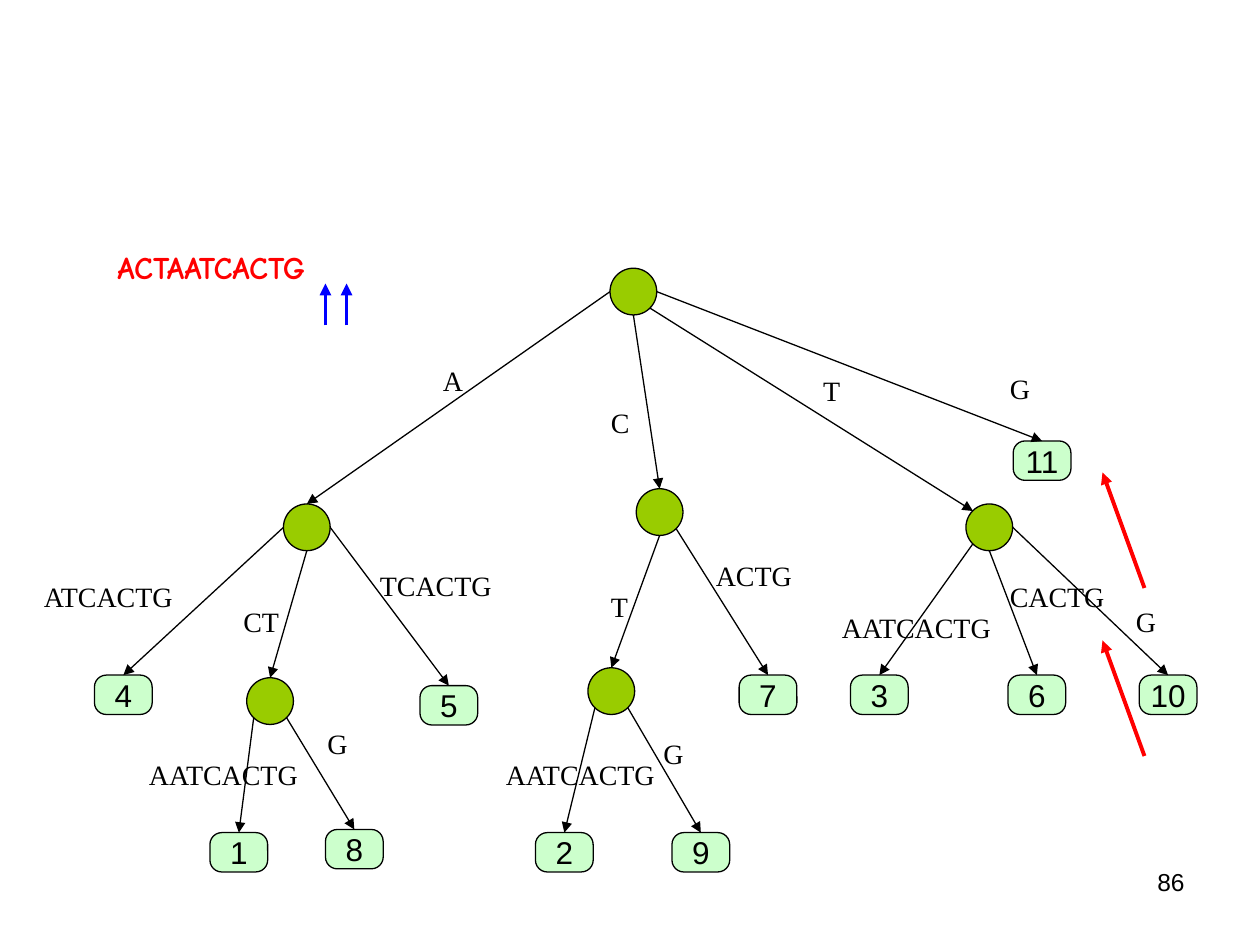
import pptx
import pptx.dml.color
import pptx.enum.shapes
import pptx.enum.text
import pptx.oxml.ns
import pptx.util
from lxml import etree

RGB = pptx.dml.color.RGBColor
BLACK = RGB(0x00, 0x00, 0x00)
RED = RGB(0xFF, 0x00, 0x00)
BLUE = RGB(0x00, 0x00, 0xFF)
OLIVE = RGB(0x99, 0xCC, 0x00)
MINT = RGB(0xCC, 0xFF, 0xCC)

COLUMNS, ROWS = 120, 90
NODE_SIZE = 4.45
LEAF_WIDTH, LEAF_HEIGHT = 5.5, 3.75
LABEL_HEIGHT = 4.4

SITES = {
    "top": (0.5, 0), "left": (0, 0.5), "bottom": (0.5, 1), "right": (1, 0.5),
    "top left": (0.15, 0.15), "bottom left": (0.15, 0.85), "bottom right": (0.85, 0.85),
}

NODES = {
    "root": (58.1, 25.55), "A": (27, 48), "C": (60.6, 46.55), "T": (92, 48),
    "ACT": (23.5, 64.55), "CT": (56, 63.6),
}

LEAVES = {
    "1": (20, 79.3), "2": (51, 79.3), "3": (81, 64.3), "4": (9, 64.3),
    "5": (40, 65.3), "6": (96, 64.3), "7": (70.4, 64.3), "8": (31, 79),
    "9": (64, 79.3), "10": (108.5, 64.3), "11": (96.5, 42),
}

EDGES = [
    ("root", "left", "A", "top", "A", 41, 34, 8),
    ("root", "bottom", "C", "top", "C", 57, 38, 7),
    ("root", "bottom right", "T", "top left", "T", 77.2, 35, 12.8),
    ("root", "right", "11", "top", "G", 95, 34.8, 8),
    ("A", "left", "4", "top", "ATCACTG", 3, 54.6, 16),
    ("A", "bottom", "ACT", "top", "CT", 22, 57, 12),
    ("A", "right", "5", "top", "TCACTG", 35, 53.6, 14),
    ("C", "bottom", "CT", "top", "T", 57, 55.6, 19),
    ("C", "bottom right", "7", "top", "ACTG", 67, 52.6, 11),
    ("T", "bottom left", "3", "top", "AATCACTG", 79, 57.6, 18.8),
    ("T", "bottom", "6", "top", "CACTG", 95, 54.6, 12.8),
    ("T", "right", "10", "top", "G", 107, 57, 8),
    ("ACT", "bottom left", "1", "top", "AATCACTG", 13, 71.6, 21),
    ("ACT", "bottom right", "8", "top", "G", 30, 68.6, 8),
    ("CT", "bottom left", "2", "top", "AATCACTG", 47, 71.6, 19),
    ("CT", "bottom right", "9", "top", "G", 62, 69.6, 8),
]


class TreeSlide:
    """Draws suffix tree elements on a slide grid with a shared style."""

    def __init__(self, prs):
        self.slide = prs.slides.add_slide(prs.slide_layouts[6])
        self.col = prs.slide_width / COLUMNS
        self.row = prs.slide_height / ROWS

    def box(self, x, y, w, h):
        return [round(v) for v in (x * self.col, y * self.row, w * self.col, h * self.row)]

    def format(self, p, size, font, color=BLACK, bold=False):
        for r in p.runs:
            r.font.size = pptx.util.Pt(size)
            r.font.name = font
            r.font.bold = bold
            r.font.color.rgb = color

    def shape(self, kind, fill, x, y, w, h):
        sp = self.slide.shapes.add_shape(kind, *self.box(x, y, w, h))
        sp.shadow.inherit = False
        sp.fill.solid()
        sp.fill.fore_color.rgb = fill
        sp.line.color.rgb = BLACK
        sp.line.width = pptx.util.Pt(0.75)
        return sp

    def node(self, x, y):
        return self.shape(pptx.enum.shapes.MSO_SHAPE.OVAL, OLIVE, x, y, NODE_SIZE, NODE_SIZE)

    def leaf(self, text, x, y):
        kind = pptx.enum.shapes.MSO_SHAPE.ROUNDED_RECTANGLE
        sp = self.shape(kind, MINT, x, y, LEAF_WIDTH, LEAF_HEIGHT)
        sp.adjustments[0] = 0.3
        tf = sp.text_frame
        tf.word_wrap = False
        tf.vertical_anchor = pptx.enum.text.MSO_ANCHOR.MIDDLE
        tf.text = text
        p = tf.paragraphs[0]
        p.alignment = pptx.enum.text.PP_ALIGN.CENTER
        self.format(p, 18, "Arial")
        return sp

    def text(self, text, x, y, w, h, size=16, font="Times New Roman", color=BLACK, bold=False):
        sp = self.slide.shapes.add_textbox(*self.box(x, y, w, h))
        tf = sp.text_frame
        tf.word_wrap = True
        tf.text = text
        p = tf.paragraphs[0]
        self.format(p, size, font, color, bold)
        return p

    def line(self, x1, y1, x2, y2, color=BLACK, width=0.75):
        kind = pptx.enum.shapes.MSO_CONNECTOR.STRAIGHT
        line = self.slide.shapes.add_connector(kind, round(x1), round(y1), round(x2), round(y2))
        line.line.color.rgb = color
        line.line.width = pptx.util.Pt(width)
        qn = pptx.oxml.ns.qn
        props = line._element.spPr
        etree.SubElement(props.find(qn("a:ln")), qn("a:tailEnd"), type="triangle")
        etree.SubElement(props, qn("a:effectLst"))
        return line

    def edge(self, parent, start, child, end):
        points = []
        for sp, site in ((parent, start), (child, end)):
            dx, dy = SITES[site]
            points += [sp.left + dx * sp.width, sp.top + dy * sp.height]
        line = self.line(*points)
        if end == "top":
            line.end_connect(child, 0)

    def pointer(self, x1, y1, x2, y2, color):
        self.line(x1 * self.col, y1 * self.row, x2 * self.col, y2 * self.row, color, 2.25)


def main():
    prs = pptx.Presentation()
    prs.slide_width = pptx.util.Inches(10)
    prs.slide_height = pptx.util.Inches(7.5)
    s = TreeSlide(prs)

    tree = {name: s.node(*at) for name, at in NODES.items()}
    tree.update({name: s.leaf(name, *at) for name, at in LEAVES.items()})
    for parent, start, child, end, label, x, y, w in EDGES:
        s.edge(tree[parent], start, tree[child], end)
        s.text(label, x, y, w, LABEL_HEIGHT)

    s.text("ACTAATCACTG", 10, 23, 28, 4.8, 18, "Comic Neue", RED, True)
    for x in (31, 33):
        s.pointer(x, 31, x, 27, BLUE)
    for y in (56, 72):
        s.pointer(109, y, 105, y - 11, RED)

    p = s.text("86", 86, 82, 28, 6.25, 14, "Arial")
    p.alignment = pptx.enum.text.PP_ALIGN.RIGHT
    prs.save("out.pptx")


if __name__ == "__main__":
    main()
